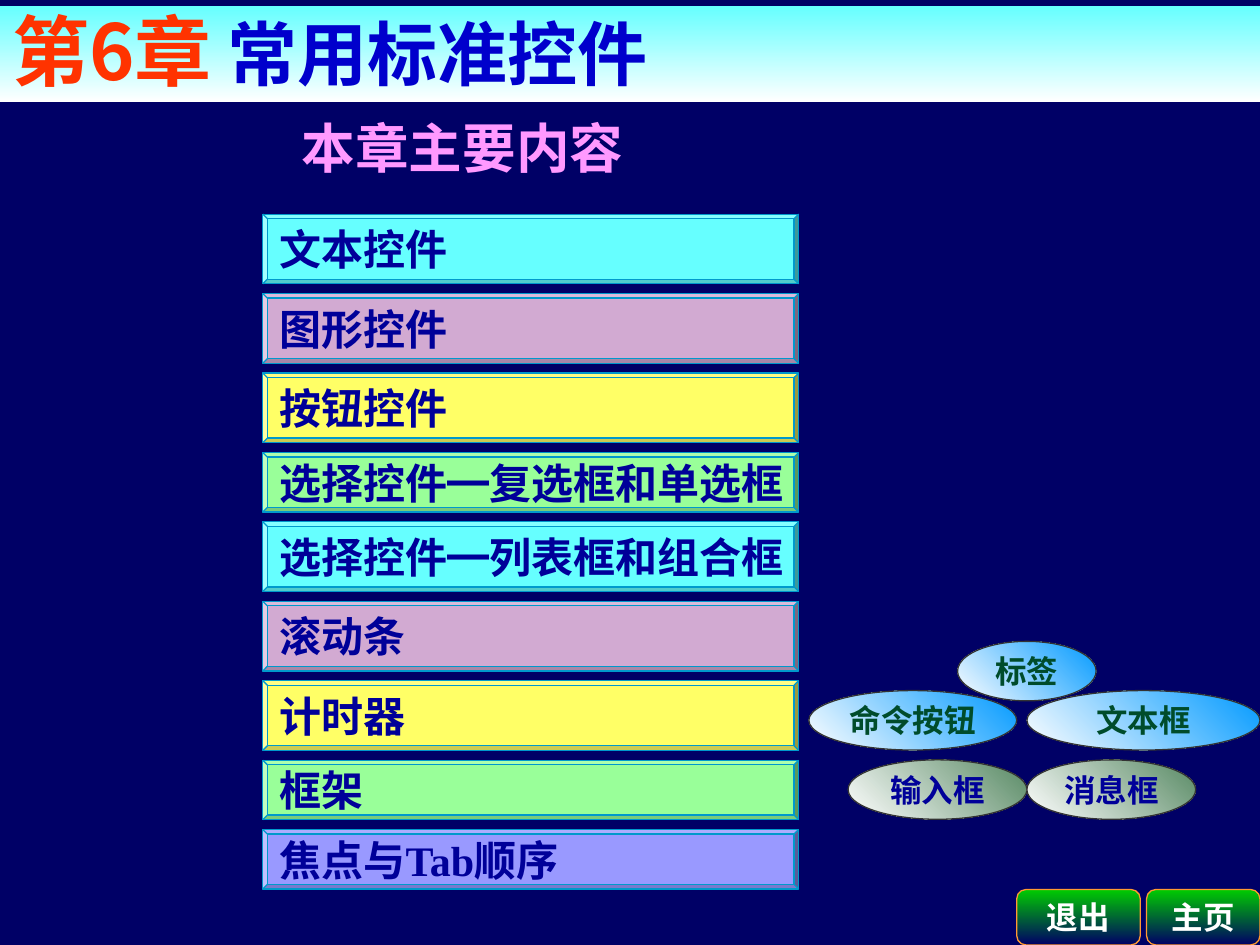
from lxml import etree
from pptx import Presentation
from pptx.dml.color import RGBColor
from pptx.enum.shapes import MSO_SHAPE
from pptx.enum.text import MSO_ANCHOR, PP_ALIGN
from pptx.oxml.ns import qn
from pptx.util import Pt

RECTANGLE, ROUNDED = MSO_SHAPE.RECTANGLE, MSO_SHAPE.ROUNDED_RECTANGLE
BEVEL, OVAL = MSO_SHAPE.BEVEL, MSO_SHAPE.OVAL
TOP, MIDDLE, BOTTOM = MSO_ANCHOR.TOP, MSO_ANCHOR.MIDDLE, MSO_ANCHOR.BOTTOM
LEFT, CENTER = PP_ALIGN.LEFT, PP_ALIGN.CENTER
SERIF, SANS, SANS_JP = "Times New Roman", "Noto Sans CJK SC", "Noto Sans CJK JP"

COLORS = {
    "navy": "000066", "cyan": "66FFFF", "mauve": "D2AAD2", "yellow": "FFFF66",
    "mint": "99FF99", "violet": "9999FF", "white": "FFFFFF", "sky": "0099FF",
    "sage": "578963", "green": "00CC00", "orange": "FF9933", "edge": "0099CC",
    "charcoal": "333333", "ink": "000099", "forest": "004C2B", "red": "FF3300",
    "blue": "0000CC", "pink": "FF99FF",
}

# Content: text runs are (text, size, latin font, East Asian font, colour)
TITLE = [("第6章", 44, SANS_JP, SANS_JP, "red"),
         (" 常用标准控件", 40, SANS, SANS, "blue")]
HEADING = [("本章主要内容", 30.6, SERIF, SANS, "pink")]
TALL, SHORT = 39.8, 34
TOPICS = [
    ("文本控件", "cyan", TALL),
    ("图形控件", "mauve", TALL),
    ("按钮控件", "yellow", TALL),
    ("选择控件━复选框和单选框", "mint", SHORT),
    ("选择控件━列表框和组合框", "cyan", TALL),
    ("滚动条", "mauve", TALL),
    ("计时器", "yellow", TALL),
    ("框架", "mint", SHORT),
    ("焦点与Tab顺序", "violet", SHORT),
]
# Ovals: text, left, top, width, end colour, text colour
OVALS = [
    ("命令按钮", 462.2, 394.6, 118.8, "sky", "forest"),
    ("标签", 547.2, 366.5, 79.2, "sky", "forest"),
    ("文本框", 586.8, 394.6, 133.2, "sky", "forest"),
    ("输入框", 484.6, 434.2, 102.2, "sage", "ink"),
    ("消息框", 586.8, 434.2, 96.5, "sage", "ink"),
]
BUTTONS = [("退出", 581, 70.6), ("主页", 655.2, 64.8)]

BAR_LEFT, BAR_TOP, BAR_WIDTH, BAR_GAP, BAR_EDGE = 150.2, 122.4, 306.2, 5.6, 2.6


def rgb(name):
    return RGBColor.from_string(COLORS[name])


def write(shape, runs, align=LEFT, **frame_format):
    frame = shape.text_frame
    values = {"word_wrap": False, "vertical_anchor": MIDDLE, **frame_format}
    for key, value in values.items():
        setattr(frame, key, value)
    para = frame.paragraphs[0]
    para.alignment = align
    for text, size, latin, asian, color in runs:
        span = para.add_run()
        span.text = text
        for key, value in {"size": Pt(size), "name": latin, "bold": True}.items():
            setattr(span.font, key, value)
        span.font.color.rgb = rgb(color)
        east_asian = etree.Element(qn("a:ea"), typeface=asian)
        span.font._rPr.find(qn("a:latin")).addnext(east_asian)


def add_box(kind, left, top, width, height, fill, angle=None, line=None):
    """Fill is one colour name, or a pair with a gradient angle."""
    shape = slide.shapes.add_shape(kind, Pt(left), Pt(top), Pt(width), Pt(height))
    shape.shadow.inherit = False
    if angle is None:
        shape.fill.solid()
        shape.fill.fore_color.rgb = rgb(fill)
    else:
        shape.fill.gradient()
        shape.fill.gradient_angle = angle
        for stop, color in zip(shape.fill.gradient_stops, fill):
            stop.color.rgb = rgb(color)
    if line:
        shape.line.color.rgb = rgb(line)
        shape.line.width = Pt(0.74)
    else:
        shape.line.fill.background()
    return shape


deck = Presentation()
deck.slide_width, deck.slide_height = Pt(720), Pt(540)
slide = deck.slides.add_slide(deck.slide_layouts[6])
slide.background.fill.solid()
slide.background.fill.fore_color.rgb = rgb("navy")

# Title band and heading
band = add_box(RECTANGLE, 0, 3.6, 720, 54.7, ("cyan", "white"), 270)
write(band, TITLE, word_wrap=True, vertical_anchor=BOTTOM)
heading = slide.shapes.add_textbox(Pt(133.2), Pt(65.5), Pt(560.9), Pt(45.4))
write(heading, HEADING, word_wrap=True, vertical_anchor=TOP,
      margin_left=Pt(39.2), margin_top=Pt(0))

# Topic bars, stacked with equal gaps
top = BAR_TOP
for text, color, height in TOPICS:
    bar = add_box(BEVEL, BAR_LEFT, top, BAR_WIDTH, height, color, line="edge")
    bar.adjustments[0] = BAR_EDGE / height
    write(bar, [(text, 24, SERIF, SANS, "ink")])
    top += height + BAR_GAP

# Control ovals
for text, left, top, width, end, color in OVALS:
    oval = add_box(OVAL, left, top, width, 34, ("white", end), 45, "charcoal")
    write(oval, [(text, 18, SERIF, SANS, color)], CENTER)

# Navigation buttons
for text, left, width in BUTTONS:
    button = add_box(ROUNDED, left, 508.3, width, 31.7, ("green", "navy"), 270, "orange")
    write(button, [(text, 18, SERIF, SANS, "white")], CENTER)

deck.save("out.pptx")
